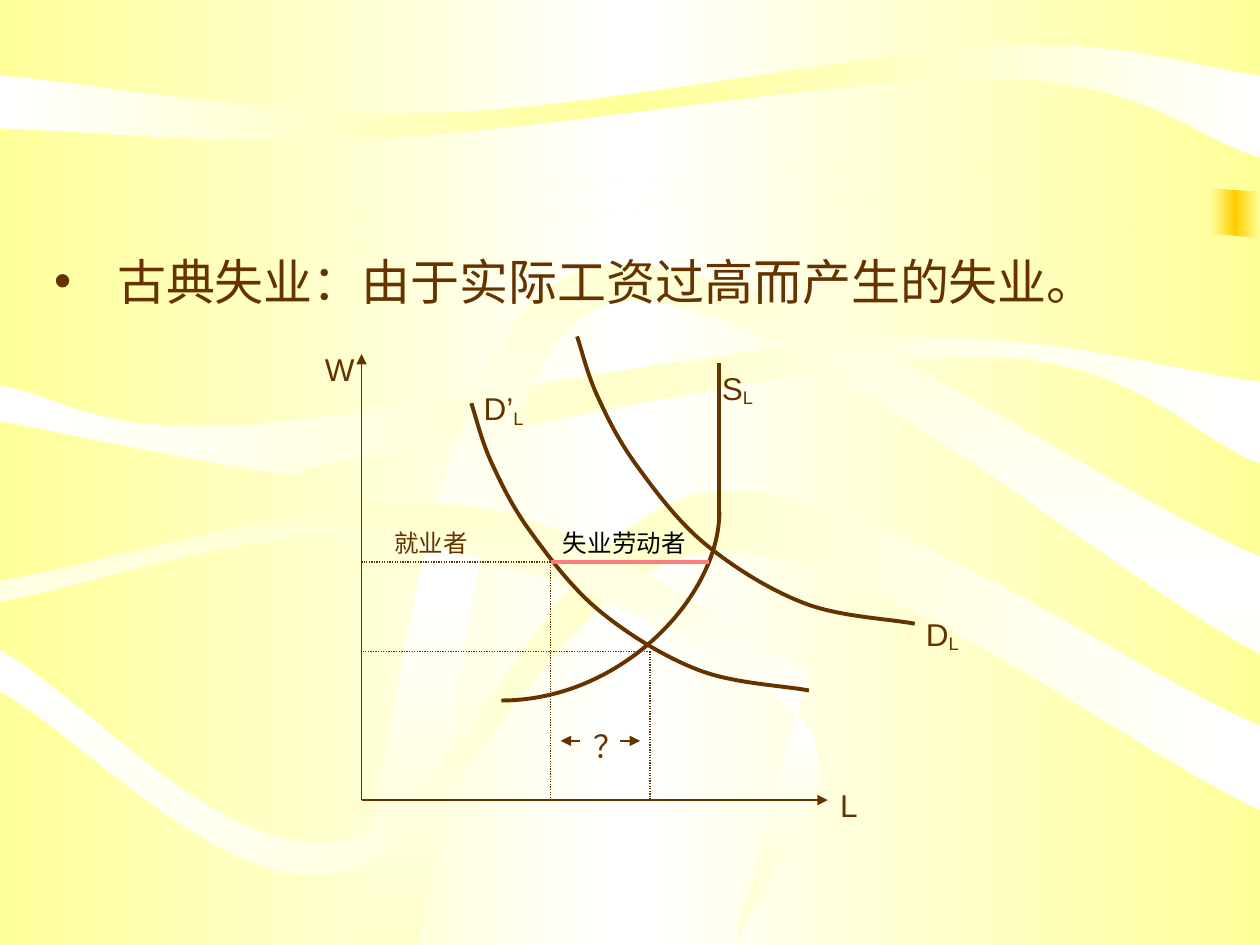
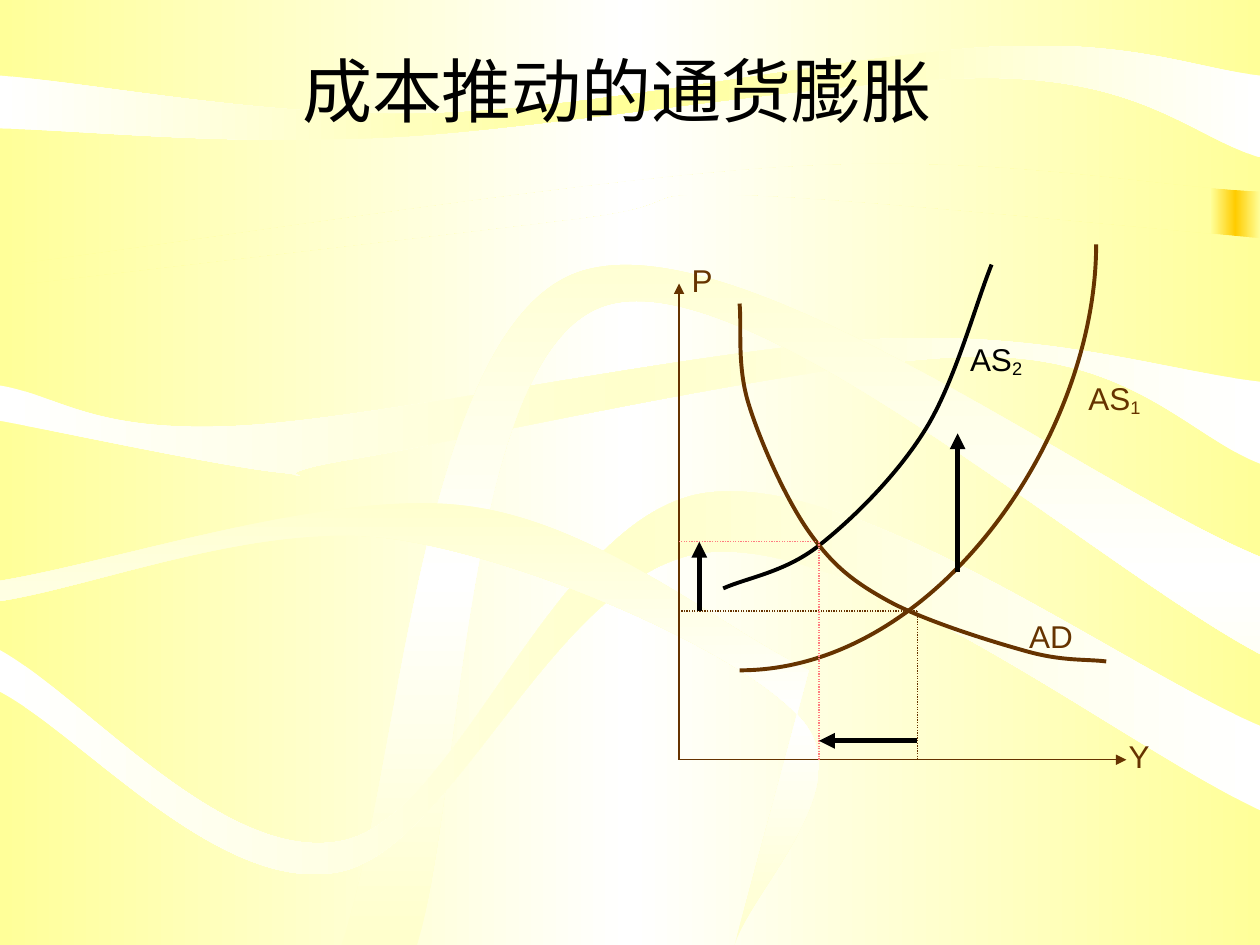
from copy import deepcopy
from pptx import Presentation
from pptx import util as u
from pptx.dml.color import RGBColor
from pptx.enum import dml, shapes, text
from pptx.oxml import ns, xmlchemy

BROWN = RGBColor.from_string("663300")
BLACK = RGBColor.from_string("000000")
PINK = RGBColor.from_string("FF7C80")
WHITE = RGBColor.from_string("FFFFFF")
LEMON = RGBColor.from_string("FFFF99")
CREAM = RGBColor.from_string("FFFFCC")
GOLD = RGBColor.from_string("FFCC00")
SERIF, SANS = "Times New Roman", "Arial"

BANDS = [
    (LEMON, WHITE, 0, [[(0, 0)], [(10, 0)], [(10, 1.52), (6.25, 1.32), (0, 2.11)]]),
    (LEMON, WHITE, 0, [[(0, 2.28), (4.58, 1.74), (5.86, 1.55), (10, 1.89)],
                       [(10, 7.5)], [(0, 7.5)]]),
    (WHITE, LEMON, 0, [[(0, 1.02), (3.08, 1.09), (7.94, 0.62), (10, 1.25)],
                       [(10, 0.6), (7.92, 0.37), (3.45, 0.9), (0, 0.6)]]),
    (WHITE, CREAM, 0, [[(0, 3.34), (2.22, 3.75), (2.82, 3.64), (7.8, 2.83), (10, 3.68)],
                       [(10, 3.03), (7.01, 2.69), (1.9, 3.38), (0, 3.06)]]),
    (CREAM, WHITE, 90, [[(2.71, 7.5), (4.54, 2.18), (10, 4.42)],
                        [(10, 5.19), (4.79, 2.43), (3.31, 7.5)]]),
    (WHITE, CREAM, 0, [[(0, 5.49), (2.69, 6.92), (5.65, 4.38), (10, 6.43)],
                       [(10, 5.76), (5.62, 3.91), (2.73, 6.67), (0, 5.16)]]),
    (CREAM, WHITE, 90, [[(0, 4.77), (3.14, 4.28), (6.37, 5.72), (5.83, 7.5)],
                        [(6.42, 5.32), (3.66, 4.01), (0, 4.61)]]),
]
DEMAND = [(3.74, 3.2), (3.9, 3.67), (4.21, 4.22), (4.76, 4.85), (5.55, 5.32), (6.42, 5.48)]
SPEND = [(5.87, 2.41), (5.94, 3.2), (6.42, 4.22), (7.05, 4.77), (8.15, 5.17), (8.78, 5.25)]
RISE = [(5.74, 4.67), (6.5, 4.33), (7.35, 3.4), (7.87, 2.1)]


def smooth(dots):
    last = len(dots) - 1

    def lean(i):
        low, high = max(i - 1, 0), min(i + 1, last)
        part = 6 if high - low == 2 else 4
        return [(b - a) / part for a, b in zip(dots[low], dots[high])]

    steps = [dots[0]]
    for i in range(last):
        (x1, y1), (x2, y2) = dots[i:i + 2]
        (dx1, dy1), (dx2, dy2) = lean(i), lean(i + 1)
        steps.append((x1 + dx1, y1 + dy1, x2 - dx2, y2 - dy2, x2, y2))
    return steps


class Deck:
    """Hold the shared style and the current slide, and draw each kind of element."""

    def __init__(self):
        self.prs = Presentation()
        self.prs.slide_width, self.prs.slide_height = u.Inches(10), u.Inches(7.5)

    def page(self, layout):
        self.slide = self.prs.slides.add_slide(self.prs.slide_layouts[layout])
        self.pen = self.slide.shapes

    def group(self):
        self.pen = self.slide.shapes.add_group_shape().shapes

    def blend(self, fill, root, edge, mid, angle=0):
        fill.gradient()
        fill.gradient_angle = angle
        stops = next(root.iter(ns.qn("a:gsLst")))
        stops.append(deepcopy(stops[0]))
        for stop, place, color in zip(fill.gradient_stops, (0, 0.5, 1), (edge, mid, edge)):
            stop.position = place
            stop.color.rgb = color

    def dress(self):
        master = self.prs.slide_master
        self.blend(master.background.fill, master.element, LEMON, WHITE)
        tab = self.pen.add_shape(shapes.MSO_SHAPE.RECTANGLE, u.Inches(9.61), u.Inches(0.49),
                                 u.Inches(0.39), u.Inches(3.45))
        tab.shadow.inherit = False
        parts = [(tab, LEMON, GOLD, 0)]
        for edge, mid, angle, runs in BANDS:
            steps = [step for dots in runs for step in smooth(dots)]
            parts.append((self.outline(steps, True), edge, mid, angle))
        for num, (part, edge, mid, angle) in enumerate(parts, 20):
            self.blend(part.fill, part.element, edge, mid, angle)
            part.line.fill.background()
            next(part.element.iter(ns.qn("p:cNvPr"))).set("id", str(num))
            master.shapes.element.append(part.element)

    def outline(self, steps, close=False):
        spots = [(u.Inches(x), u.Inches(y))
                 for step in steps for x, y in zip(step[::2], step[1::2])]
        form = self.pen.build_freeform(*spots[0])
        form.add_line_segments(spots[1:], close=close)
        shape = form.convert_to_shape()
        shape.shadow.inherit = False
        legs = iter(list(shape.element.iter(ns.qn("a:lnTo"))))
        for step in steps[1:]:
            leg = next(legs)
            if len(step) == 6:
                bend = xmlchemy.OxmlElement("a:cubicBezTo")
                leg.addprevious(bend)
                for part in (leg, next(legs), next(legs)):
                    bend.append(part[0])
                    part.getparent().remove(part)
        return shape

    def curve(self, steps, color=BROWN):
        shape = self.outline(steps)
        shape.fill.background()
        shape.line.color.rgb = color
        shape.line.width = u.Pt(2.25)

    def arc(self, x1, y1, x2, y2):
        bow = 0.55
        self.curve([(x1, y1), (x1 + bow * (x2 - x1), y1, x2, y2 + (1 - bow) * (y1 - y2), x2, y2)])

    def line(self, x1, y1, x2, y2, color=BROWN, width=0.75, dots=False, arrow=False):
        link = self.pen.add_connector(shapes.MSO_CONNECTOR.STRAIGHT, u.Inches(x1), u.Inches(y1),
                                      u.Inches(x2), u.Inches(y2))
        link.line.color.rgb = color
        link.line.width = u.Pt(width)
        if dots:
            link.line.dash_style = dml.MSO_LINE.ROUND_DOT
        if arrow:
            tip = xmlchemy.OxmlElement("a:tailEnd")
            tip.set("type", "triangle")
            link.line._get_or_add_ln().append(tip)
        link.element.spPr.append(xmlchemy.OxmlElement("a:effectLst"))

    def guides(self, x, y, left, base, color=BROWN):
        self.line(x, y, left, y, color, dots=True)
        self.line(x, y, x, base, color, dots=True)

    def axes(self, x, y, right, top):
        self.line(x, y, right, y, arrow=True)
        self.line(x, y, x, top, arrow=True)

    def run(self, para, words, size, face, color):
        run = para.add_run()
        run.text = words
        run.font.size, run.font.name = u.Pt(size), face
        run.font.color.rgb = color
        return run

    def label(self, x, y, words, sub="", w=0.79, size=18, color=BROWN, drop="-14000"):
        box = self.pen.add_textbox(u.Inches(x), u.Inches(y), u.Inches(w),
                                   u.Inches(0.4 if size == 18 else 0.33))
        box.text_frame.word_wrap = True
        box.text_frame.auto_size = text.MSO_AUTO_SIZE.SHAPE_TO_FIT_TEXT
        para = box.text_frame.paragraphs[0]
        self.run(para, words, size, SANS, color)
        if sub:
            low = self.run(para, sub, size, SANS, color)
            low.font._element.set("baseline", drop)

    def holder(self, shape, x, y, w, h, words, size, color):
        shape.left, shape.top = u.Inches(x), u.Inches(y)
        shape.width, shape.height = u.Inches(w), u.Inches(h)
        para = shape.text_frame.paragraphs[0]
        self.run(para, words, size, SERIF, color)
        return para

    def title(self, words):
        head = self.slide.shapes.title
        para = self.holder(head, 0.2, 0.25, 9.39, 0.92, words, 40, BLACK)
        para.alignment = text.PP_ALIGN.CENTER
        head.text_frame.vertical_anchor = text.MSO_ANCHOR.MIDDLE

    def point(self, words):
        head = self.slide.shapes.title.element
        head.getparent().remove(head)
        para = self.holder(self.slide.placeholders[1], 0.33, 1.83, 9.34, 0.69, words, 28, BROWN)
        props = para._p.get_or_add_pPr()
        props.set("marL", str(u.Inches(0.5)))
        props.set("indent", str(u.Inches(-0.5)))
        mark = xmlchemy.OxmlElement("a:buChar")
        mark.set("char", "•")
        props.append(mark)
        para.line_spacing, para.space_before = 1.25, u.Pt(0)


def labor(deck):
    left, base, wage, job, full = 2.87, 6.35, 4.46, 4.37, 5.71
    deck.point("古典失业：由于实际工资过高而产生的失业。")
    deck.axes(left, base, 6.57, 2.81)
    deck.line(full, 2.88, full, 4.14, width=2.25)
    deck.arc(3.98, 5.56, full, 4.06)
    deck.curve(smooth(DEMAND))
    deck.curve(smooth([(x + 0.84, y - 0.53) for x, y in DEMAND]))
    deck.guides(5.16, 5.17, left, base)
    deck.guides(job, wage, left, base)
    deck.line(job, wage, 5.63, wage, PINK, 2.25)
    for start, end in ((4.92, 5.08), (4.6, 4.45)):
        deck.line(start, 5.88, end, 5.88, arrow=True)
    deck.label(6.57, 6.19, "L")
    deck.label(2.48, 2.73, "W")
    deck.label(5.63, 2.88, "S", "L")
    deck.label(3.74, 3.04, "D’", "L")
    deck.label(7.25, 4.83, "D", "L")
    deck.label(job, 4.14, "失业劳动者", w=1.34, size=14, color=BLACK)
    deck.label(3.03, 4.14, "就业者", w=0.95, size=14)
    deck.label(4.61, 5.72, "？", w=0.39)


def prices(deck):
    left, base, high, low, less, more = 5.39, 6.03, 4.3, 4.85, 6.5, 7.28
    deck.title("成本推动的通货膨胀")
    deck.curve(smooth(RISE), BLACK)
    deck.group()
    deck.axes(left, base, 8.94, 2.25)
    deck.curve(smooth(SPEND))
    deck.arc(5.87, 5.32, 8.7, 1.94)
    deck.guides(more, low, left, base)
    deck.guides(less, high, left, base, PINK)
    for ends in ((7.6, 4.54, 7.6, 3.44), (5.55, low, 5.55, high), (more, 5.88, less, 5.88)):
        deck.line(*ends, BLACK, 3, arrow=True)
    deck.label(8.86, 5.8, "Y")
    deck.label(left, 2.02, "P")
    deck.label(8.54, 2.96, "AS", "1", drop="-12000")
    deck.label(7.6, 2.65, "AS", "2", color=BLACK, drop="-12000")
    deck.label(8.07, low, "AD")


def main():
    deck = Deck()
    deck.page(1)
    deck.dress()
    labor(deck)
    deck.page(5)
    prices(deck)
    deck.prs.save("out.pptx")


if __name__ == "__main__":
    main()
